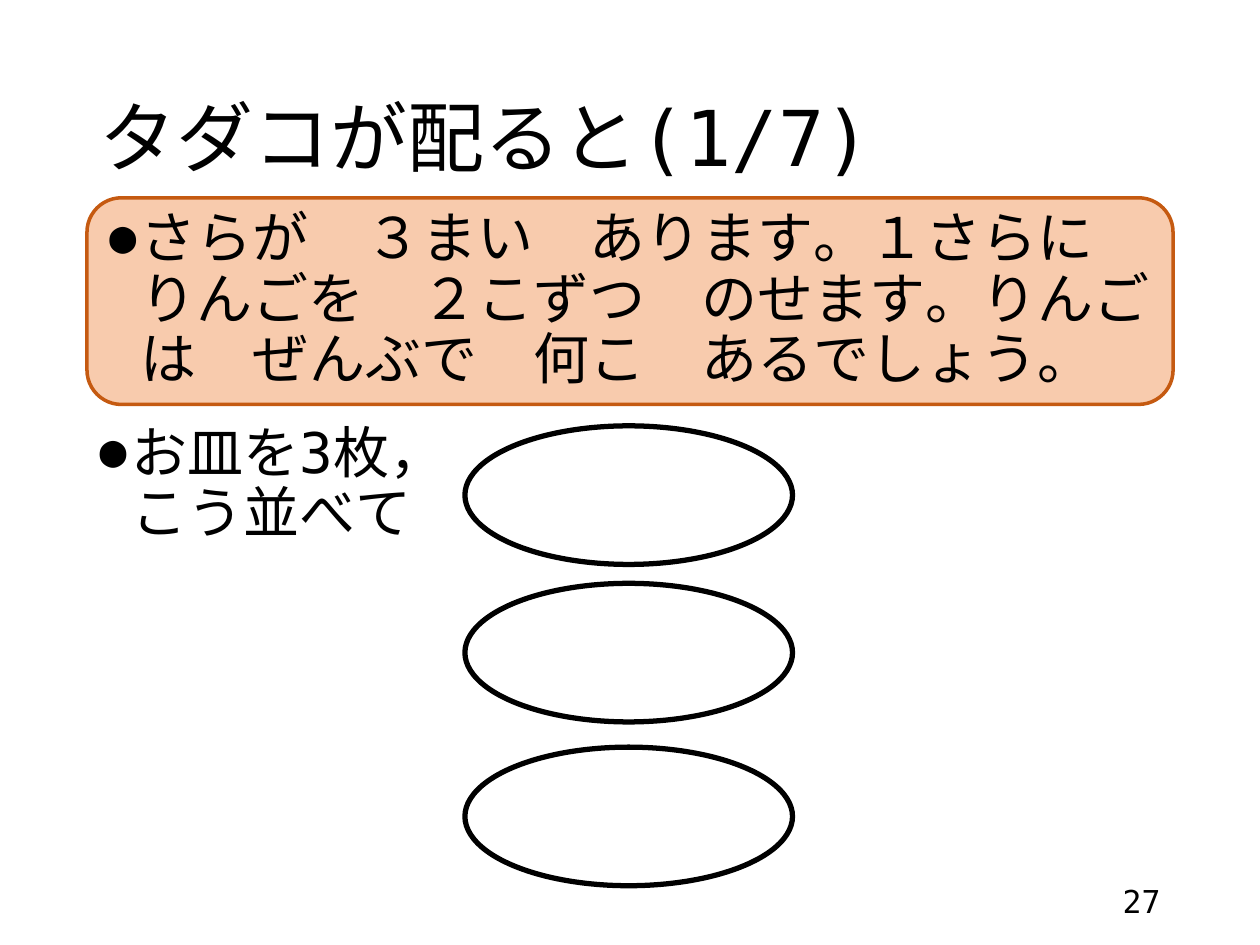
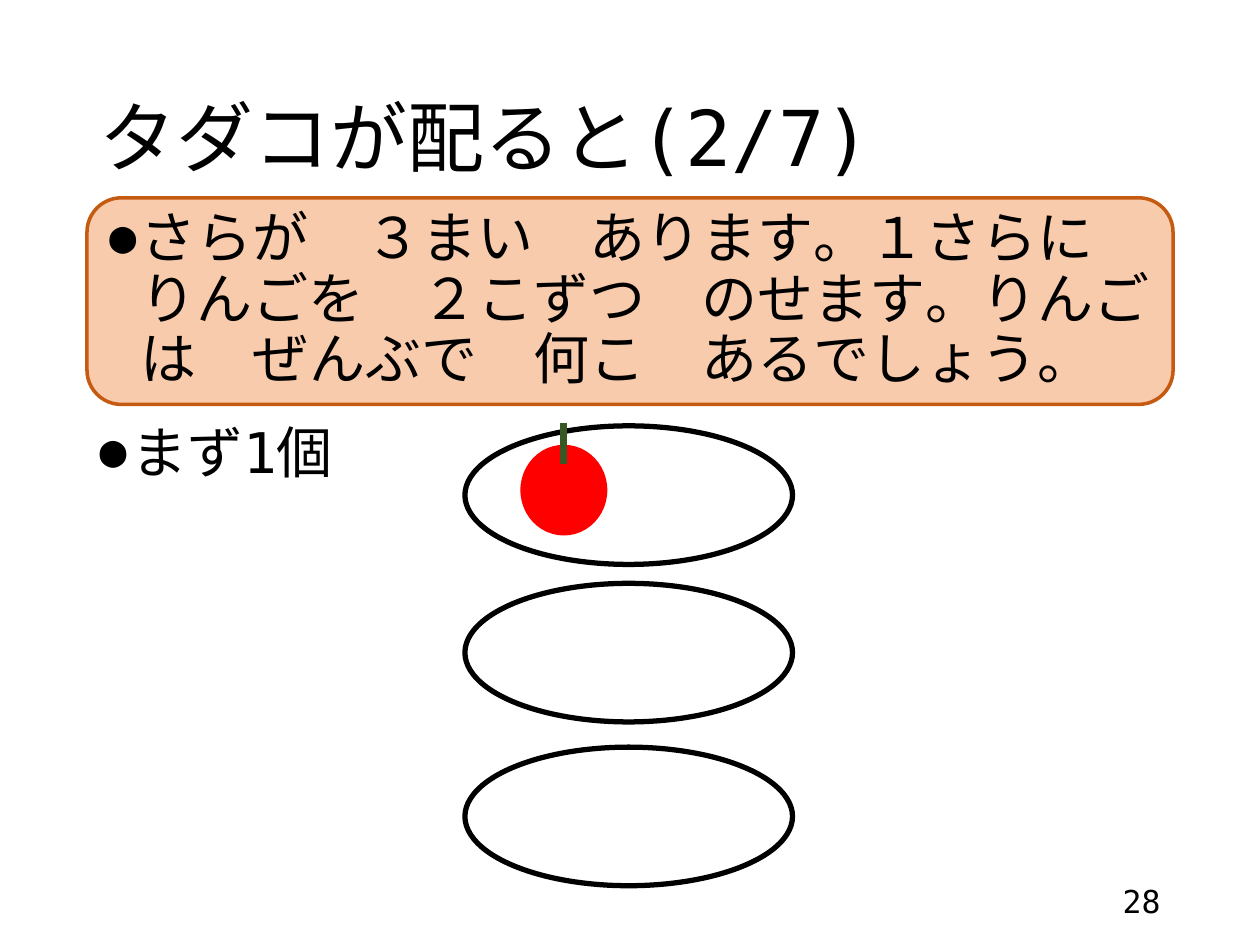
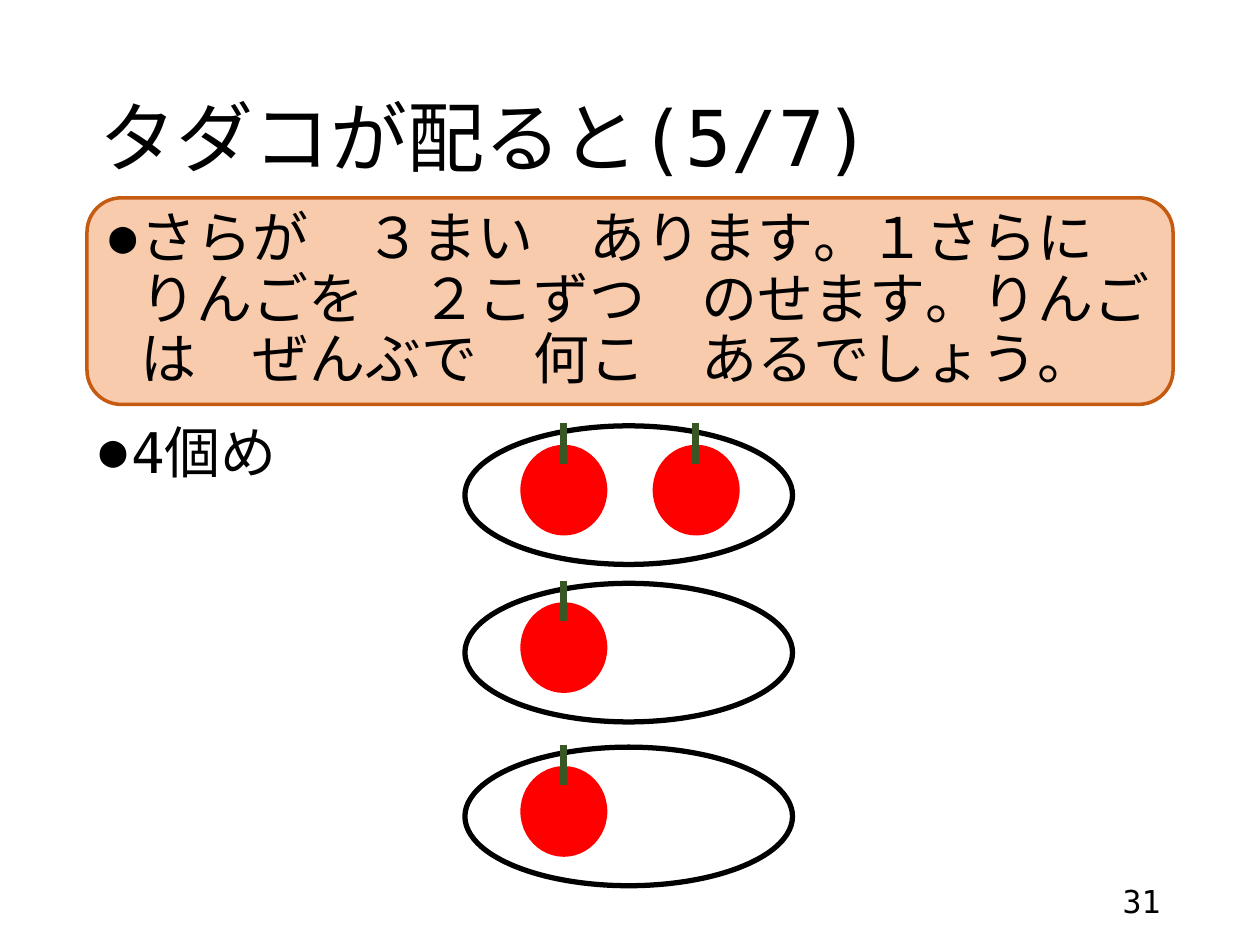
from dataclasses import dataclass

from lxml.etree import SubElement
from pptx import Presentation
from pptx.dml.color import RGBColor
from pptx.enum.shapes import MSO_CONNECTOR, MSO_SHAPE
from pptx.enum.text import MSO_ANCHOR, MSO_AUTO_SIZE, PP_ALIGN
from pptx.oxml.ns import qn
from pptx.util import Inches, Pt

FONT = "DejaVu Sans Mono"
BLACK = "000000"
WHITE = "FFFFFF"
PEACH = "F8CBAD"
RUST = "C55A11"
APPLE_RED = "FF0000"
STEM_GREEN = "385723"

MARGIN = 0.69
CONTENT_WIDTH = 8.62
PLATE_LEFT = 3.69
PLATE_TOPS = (3.38, 4.63, 5.93)
APPLE_STEP = 1.05

PROBLEM = (
    "さらが　３まい　あります。１さらに　りんごを　２こずつ　のせます。"
    "りんごは　ぜんぶで　何こ　あるでしょう。"
)


@dataclass(frozen=True)
class Box:
    left: float
    top: float
    width: float
    height: float

    def lengths(self) -> tuple:
        return tuple(map(Inches, (self.left, self.top, self.width, self.height)))


@dataclass(frozen=True)
class Step:
    number: int
    page: int
    caption: str
    apples: tuple[int, int, int]


TITLE = Box(MARGIN, 0.4, CONTENT_WIDTH, 1.45)
PROBLEM_BAND = Box(MARGIN, 1.57, CONTENT_WIDTH, 1.64)
CAPTION = Box(MARGIN, 3.32, CONTENT_WIDTH, 3.43)
PAGE_NUMBER = Box(7.06, 6.95, 2.25, 0.4)

STEPS = (
    Step(1, 27, "お皿を3枚，\nこう並べて", (0, 0, 0)),
    Step(2, 28, "まず1個", (1, 0, 0)),
    Step(5, 31, "4個め", (2, 1, 1)),
)


def color(value: str) -> RGBColor:
    return RGBColor.from_string(value)


def place(shape, box: Box) -> None:
    shape.left, shape.top, shape.width, shape.height = box.lengths()


def add_bullet(paragraph) -> None:
    properties = paragraph._p.get_or_add_pPr()
    properties.set("marL", str(Inches(0.25)))
    properties.set("indent", str(-Inches(0.25)))
    SubElement(properties, qn("a:buSzPct"), val="80000")
    SubElement(properties, qn("a:buFont"), typeface=FONT)
    SubElement(properties, qn("a:buChar"), char="●")


def write(shape, text: str, *, size: float, align=PP_ALIGN.LEFT,
          anchor=MSO_ANCHOR.MIDDLE, line_spacing: float = 0.9,
          space_before: float = 0, bullet: bool = False) -> None:
    frame = shape.text_frame
    frame.word_wrap = True
    frame.auto_size = MSO_AUTO_SIZE.NONE
    frame.vertical_anchor = anchor
    paragraph = frame.paragraphs[0]
    paragraph.text = text
    paragraph.alignment = align
    paragraph.line_spacing = line_spacing
    paragraph.space_before = Pt(space_before)
    if bullet:
        add_bullet(paragraph)
    for run in paragraph.runs:
        run.font.size = Pt(size)
        run.font.name = FONT
        run.font.color.rgb = color(BLACK)
        SubElement(run.font._element, qn("a:ea"), typeface=FONT)


def add_outline(shapes, preset, box: Box, fill: str, line: str = "", width: float = 0):
    shape = shapes.add_shape(preset, *box.lengths())
    shape.shadow.inherit = False
    shape.fill.solid()
    shape.fill.fore_color.rgb = color(fill)
    if line:
        shape.line.color.rgb = color(line)
        shape.line.width = Pt(width)
    else:
        shape.line.fill.background()
    return shape


def add_apple(slide, left: float, top: float) -> None:
    apple = slide.shapes.add_group_shape()
    add_outline(apple.shapes, MSO_SHAPE.OVAL, Box(left, top, 0.69, 0.72), APPLE_RED)
    stem_x = Inches(left + 0.34)
    stem = apple.shapes.add_connector(
        MSO_CONNECTOR.STRAIGHT, stem_x, Inches(top - 0.17), stem_x, Inches(top + 0.15))
    stem.line.color.rgb = color(STEM_GREEN)
    stem.line.width = Pt(4)
    SubElement(stem._element.spPr, qn("a:effectLst"))


def add_plate(slide, top: float, apples: int) -> None:
    add_outline(slide.shapes, MSO_SHAPE.OVAL, Box(PLATE_LEFT, top, 2.6, 1.1),
                WHITE, BLACK, 3)
    for index in range(apples):
        add_apple(slide, PLATE_LEFT + 0.44 + index * APPLE_STEP, top + 0.15)


def add_step(presentation, step: Step) -> None:
    slide = presentation.slides.add_slide(presentation.slide_layouts[1])
    title, caption = slide.shapes.title, slide.placeholders[1]
    place(title, TITLE)
    write(title, f"タダコが配ると({step.number}/7)", size=44)
    place(caption, CAPTION)
    write(caption, step.caption, size=32, anchor=MSO_ANCHOR.TOP,
          space_before=10, bullet=True)

    problem = add_outline(slide.shapes, MSO_SHAPE.ROUNDED_RECTANGLE, PROBLEM_BAND,
                          PEACH, RUST, 2)
    write(problem, PROBLEM, size=32, space_before=10, bullet=True)

    for top, apples in zip(PLATE_TOPS, step.apples):
        add_plate(slide, top, apples)

    page = slide.shapes.add_textbox(*PAGE_NUMBER.lengths())
    write(page, str(step.page), size=18, align=PP_ALIGN.RIGHT, line_spacing=1.0)


def main() -> None:
    presentation = Presentation()
    presentation.slide_width = Inches(10)
    presentation.slide_height = Inches(7.5)
    for step in STEPS:
        add_step(presentation, step)
    presentation.save("out.pptx")


if __name__ == "__main__":
    main()
